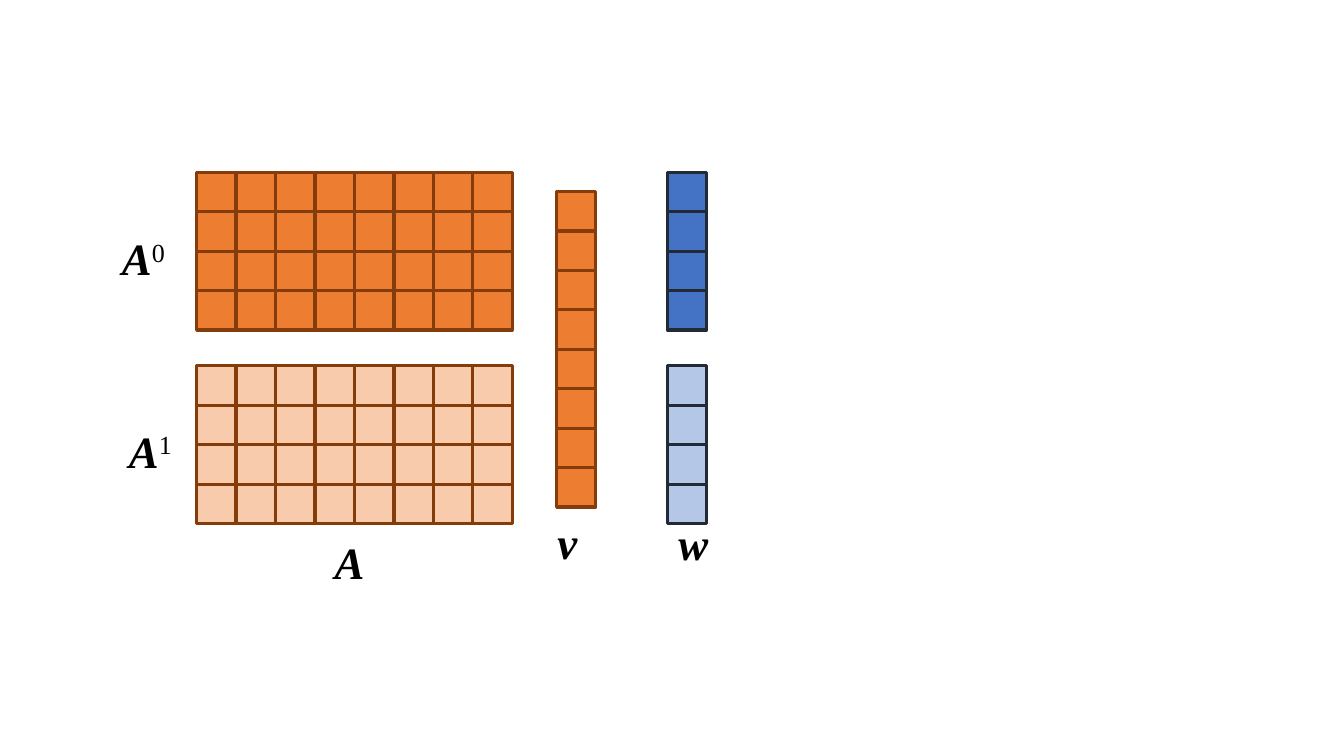
from pptx import Presentation
from pptx.dml.color import RGBColor
from pptx.enum import shapes, text
from pptx.util import Inches, Pt

ORANGE = RGBColor(0xED, 0x7D, 0x31)
PEACH = RGBColor(0xF8, 0xCB, 0xAD)
BROWN = RGBColor(0x84, 0x3C, 0x0B)
BLUE = RGBColor(0x44, 0x72, 0xC4)
PALE = RGBColor(0xB4, 0xC7, 0xE7)
NAVY = RGBColor(0x22, 0x2A, 0x35)
BLACK = RGBColor(0, 0, 0)

CELL = 0.39
STEP = 2.74 / 7  # eight cells span 2.74 inches from first to last


def add_grid(slide, left, top, rows, cols, fill, edge):
    """Draw a grouped matrix of square cells."""
    group = slide.shapes.add_group_shape()
    for row in range(rows):
        for col in range(cols):
            cell = group.shapes.add_shape(
                shapes.MSO_SHAPE.RECTANGLE,
                Inches(left + col * STEP), Inches(top + row * STEP),
                Inches(CELL), Inches(CELL))
            cell.shadow.inherit = False
            cell.fill.solid()
            cell.fill.fore_color.rgb = fill
            cell.line.color.rgb = edge
            cell.line.width = Pt(2.25)


def add_label(slide, left, top, width, name, power=""):
    """Write a bold italic symbol with an optional upright superscript."""
    box = slide.shapes.add_textbox(
        Inches(left), Inches(top), Inches(width), Inches(0.64))
    frame = box.text_frame
    frame.word_wrap = True
    frame.auto_size = text.MSO_AUTO_SIZE.SHAPE_TO_FIT_TEXT
    para = frame.paragraphs[0]
    font = para.font
    font.name = "Times New Roman"
    font.size = Pt(32)
    font.color.rgb = BLACK
    symbol = para.add_run()
    symbol.text = name
    symbol.font.bold = symbol.font.italic = True
    if power:
        index = para.add_run()
        index.text = power
        index.font.bold = index.font.italic = False
        index.font._element.set("baseline", "30000")


def main():
    deck = Presentation()
    deck.slide_width = Inches(13.33)
    deck.slide_height = Inches(7.5)
    slide = deck.slides.add_slide(deck.slide_layouts[6])

    upper, lower = 1.71, 3.63
    add_grid(slide, 6.62, upper, 4, 1, BLUE, NAVY)
    add_grid(slide, 6.62, lower, 4, 1, PALE, NAVY)
    add_grid(slide, 1.95, upper, 4, 8, ORANGE, BROWN)
    add_grid(slide, 1.95, lower, 4, 8, PEACH, BROWN)
    add_grid(slide, 5.52, 1.9, 8, 1, ORANGE, BROWN)

    add_label(slide, 5.43, 5.06, 0.49, "v")
    add_label(slide, 3.22, 5.26, 0.49, "A")
    add_label(slide, 6.63, 5.07, 0.49, "w")
    add_label(slide, 1.11, 2.24, 0.65, "A", "0")
    add_label(slide, 1.18, 4.15, 0.65, "A", "1")

    deck.save("out.pptx")


if __name__ == "__main__":
    main()
